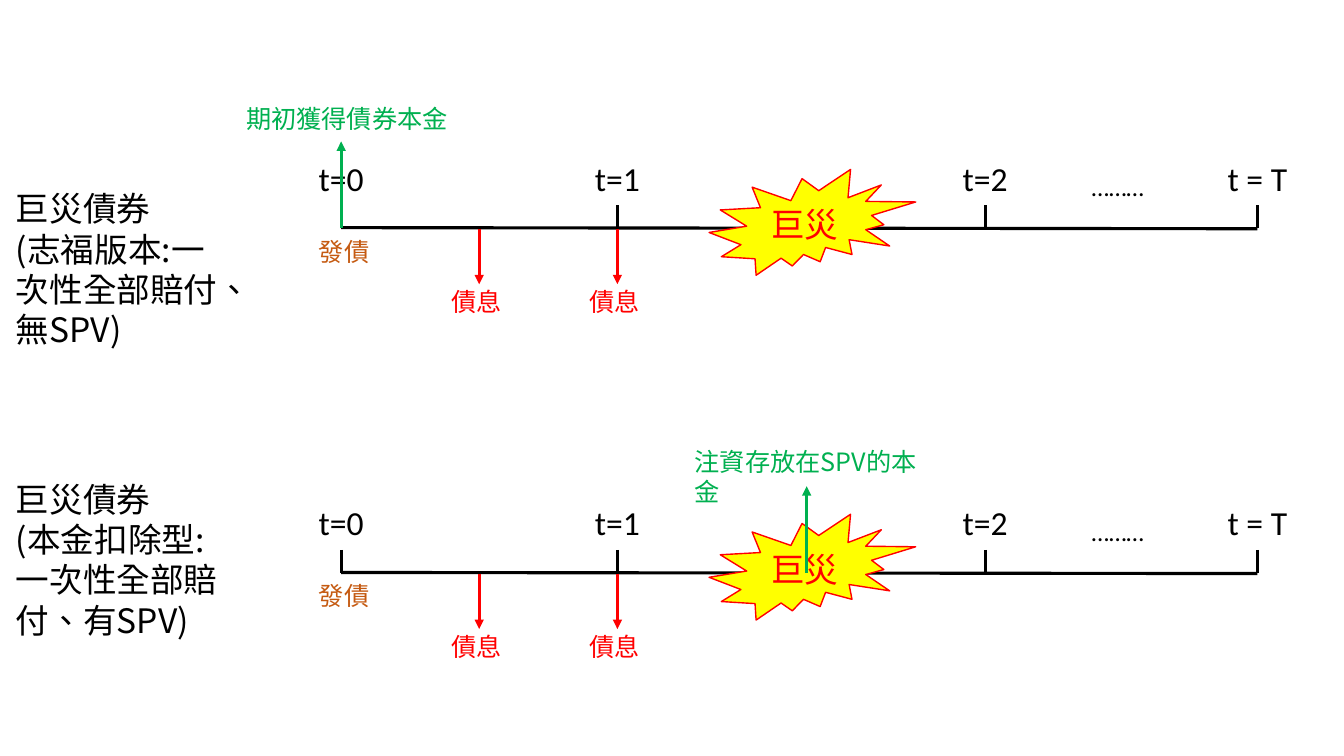
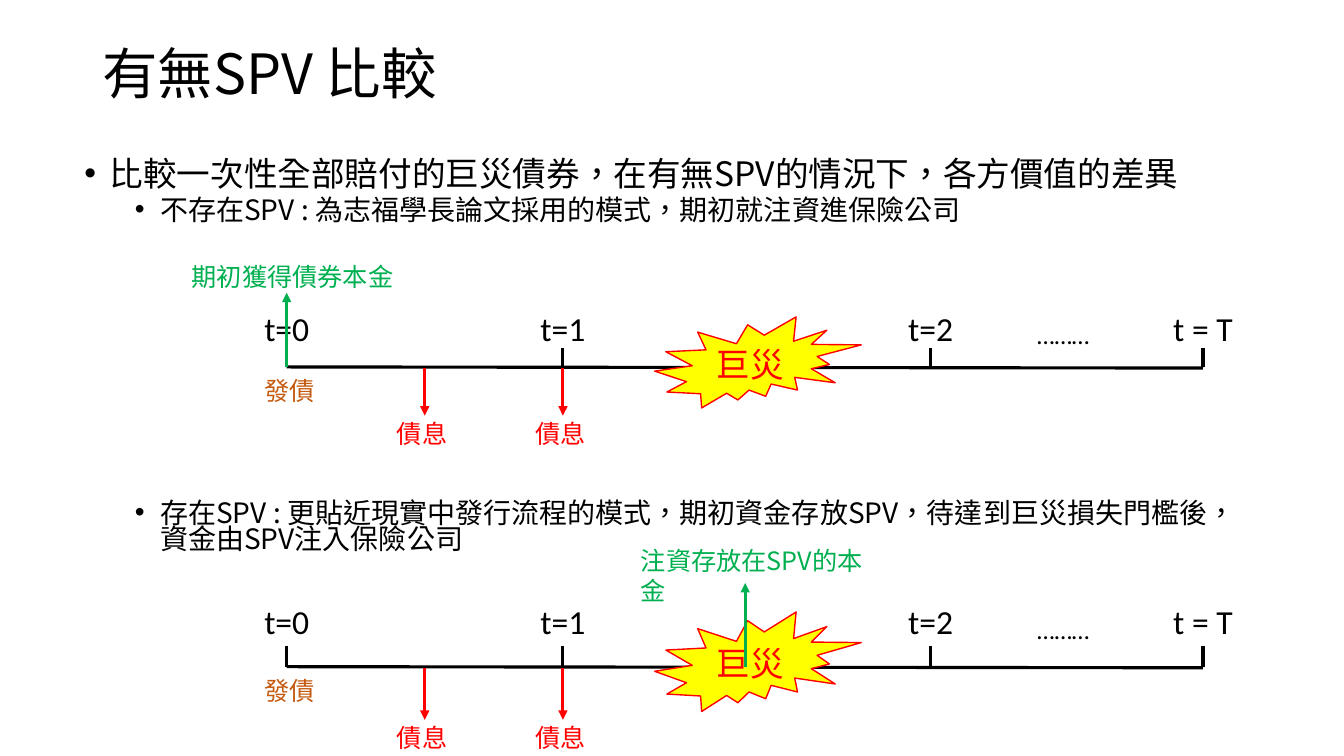
from dataclasses import dataclass

from lxml import etree
from pptx import Presentation
from pptx.dml.color import RGBColor
from pptx.enum.lang import MSO_LANGUAGE_ID
from pptx.enum.shapes import MSO_CONNECTOR, MSO_SHAPE
from pptx.enum.text import MSO_ANCHOR, PP_ALIGN
from pptx.oxml.ns import qn
from pptx.util import Pt

LINE = MSO_CONNECTOR.STRAIGHT
BURST = MSO_SHAPE.EXPLOSION2
CENTER, LEFT = PP_ALIGN.CENTER, PP_ALIGN.LEFT
MIDDLE, TOP = MSO_ANCHOR.MIDDLE, MSO_ANCHOR.TOP
ZH_TW = MSO_LANGUAGE_ID.TRADITIONAL_CHINESE


@dataclass(frozen=True)
class Theme:
    black: str = "000000"
    red: str = "FF0000"
    green: str = "00B050"
    brown: str = "C55A11"
    yellow: str = "FFFF00"
    latin: str = "Calibri"
    cjk: str = "Noto Sans CJK SC"
    title: float = 39.6
    big: float = 24
    medium: float = 20
    small: float = 18
    stroke: float = 2.25


T = Theme()


@dataclass(frozen=True)
class Payout:
    text: str
    x: float
    rise: float
    label_x: float
    label_rise: float
    width: float


UPFRONT = Payout("期初獲得債券本金", 0, 62, -75, 92.5, 171)
FROM_SPV = Payout("注資存放在SPV的本金", 332.5, 62, 245.5, 94, 187)
FROM_SPV_LOW = Payout("注資存放在SPV的本金", 327.5, 64, 246, 96.5, 188.5)


def rgb(value):
    return RGBColor.from_string(value)


def add_run(p, text, size, color, font):
    r = p.add_run()
    r.text = text
    formats = {"name": font, "size": Pt(size), "language_id": ZH_TW}
    for name, value in formats.items():
        setattr(r.font, name, value)
    r.font.color.rgb = rgb(color)
    etree.SubElement(r.font._element, qn("a:ea"), typeface=font)


def add_text(s, box, lines, size, color=T.black, font=T.cjk, align=LEFT, anchor=TOP):
    tf = s.shapes.add_textbox(*map(Pt, box)).text_frame
    tf.word_wrap = True
    tf.vertical_anchor = anchor
    for i, line in enumerate(lines):
        p = tf.paragraphs[0] if i == 0 else tf.add_paragraph()
        p.alignment = align
        add_run(p, line, size, color, font)
    return tf


def add_line(s, x1, y1, x2, y2, color=T.black, arrow=False):
    line = s.shapes.add_connector(LINE, Pt(x1), Pt(y1), Pt(x2), Pt(y2))
    line.line.color.rgb = rgb(color)
    line.line.width = Pt(T.stroke)
    props = line._element.spPr
    if arrow:
        etree.SubElement(props.find(qn("a:ln")), qn("a:tailEnd"), type="triangle")
    etree.SubElement(props, qn("a:effectLst"))


def add_burst(s, box):
    burst = s.shapes.add_shape(BURST, *map(Pt, box))
    burst.shadow.inherit = False
    burst.fill.solid()
    burst.fill.fore_color.rgb = rgb(T.yellow)
    burst.line.color.rgb = rgb(T.red)
    burst.line.width = Pt(1)
    tf = burst.text_frame
    tf.vertical_anchor = MIDDLE
    tf.paragraphs[0].alignment = CENTER
    add_run(tf.paragraphs[0], "巨災", T.big, T.red, T.cjk)


def add_timeline(s, x, y, payout, scale=1.0):
    def box(dx, dy, width, height):
        return x + dx, y + dy * scale, width, height * scale

    ticks = {"t=0": (0, 49), "t=1": (197.3, 49), "t=2": (460, 49), "t = T": (654.5, 69)}
    add_line(s, x, y - 0.4, x + 654.5, y + 0.4)
    for label, (dx, width) in ticks.items():
        add_line(s, x + dx, y - 16.5 * scale, x + dx, y)
        add_text(s, box(dx - width / 2, -54, width, 36), [label],
                 T.big, font=T.latin, align=CENTER)
    add_burst(s, box(262.8, -42, 147.6, 75.6))
    add_text(s, box(529, -44, 69, 29), ["………"], T.small, font=T.latin)
    for dx in (98.6, 197.3):
        add_line(s, x + dx, y + 0.5, x + dx, y + 40 * scale, T.red, True)
        add_text(s, box(dx - 27, 38, 54, 29), ["債息"], T.small, T.red)
    add_line(s, x + payout.x, y, x + payout.x, y - payout.rise * scale, T.green, True)
    add_text(s, box(payout.label_x, -payout.label_rise, payout.width, 29),
             [payout.text], T.small, T.green)
    add_text(s, box(-23, 2, 54, 29), ["發債"], T.small, T.brown)


def add_bullets(s, box, items):
    tf = add_text(s, box, [], T.medium)
    for i, (text, level) in enumerate(items):
        p = tf.paragraphs[0] if i == 0 else tf.add_paragraph()
        props = p._p.get_or_add_pPr()
        props.set("marL", str(Pt(18 + 36 * level)))
        props.set("indent", str(Pt(-18)))
        p.line_spacing = 0.76
        p.space_before = Pt(5 if i else 0)
        etree.SubElement(props, qn("a:buFont"), typeface="Arial")
        etree.SubElement(props, qn("a:buChar"), char="•")
        add_run(p, text, T.medium if level else T.big, T.black, T.cjk)


def add_versions_slide(prs):
    s = prs.slides.add_slide(prs.slide_layouts[6])
    versions = [
        (131, ["巨災債券", "(志福版本:一次性全部賠付、無SPV)"], 163, UPFRONT),
        (338.4, ["巨災債券", "(本金扣除型:", "一次性全部賠付、有SPV)"], 409.3, FROM_SPV),
    ]
    for top, caption, axis, payout in versions:
        add_text(s, (4.3, top, 164.2, 124), caption, T.big)
        add_timeline(s, 243.7, axis, payout)


def add_comparison_slide(prs):
    s = prs.slides.add_slide(prs.slide_layouts[6])
    title = add_text(s, (66, 28.8, 828, 51.8), ["有無SPV 比較"], T.title, anchor=MIDDLE)
    title.paragraphs[0].line_spacing = 0.9
    add_bullets(s, (53.3, 112.5, 828, 60), [
        ("比較一次性全部賠付的巨災債券，在有無SPV的情況下，各方價值的差異", 0),
        ("不存在SPV : 為志福學長論文採用的模式，期初就注資進保險公司", 1),
    ])
    add_bullets(s, (53.3, 356, 828, 52), [
        ("存在SPV : 更貼近現實中發行流程的模式，期初資金存放SPV，"
         "待達到巨災損失門檻後，資金由SPV注入保險公司", 1),
    ])
    add_timeline(s, 204.8, 262.5, UPFRONT, 0.86)
    add_timeline(s, 204.8, 476.6, FROM_SPV_LOW, 0.94)


def main():
    prs = Presentation()
    prs.slide_width, prs.slide_height = Pt(960), Pt(540)
    add_versions_slide(prs)
    add_comparison_slide(prs)
    prs.save("out.pptx")


if __name__ == "__main__":
    main()
